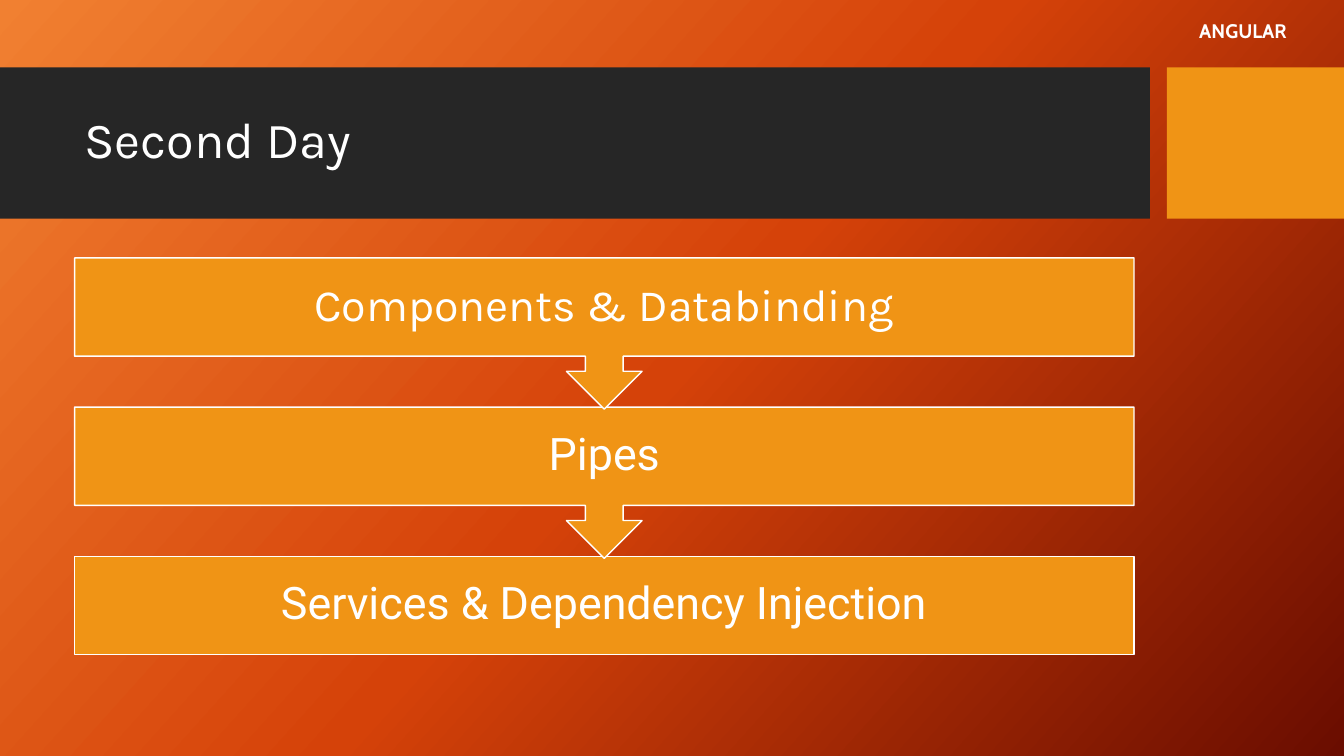
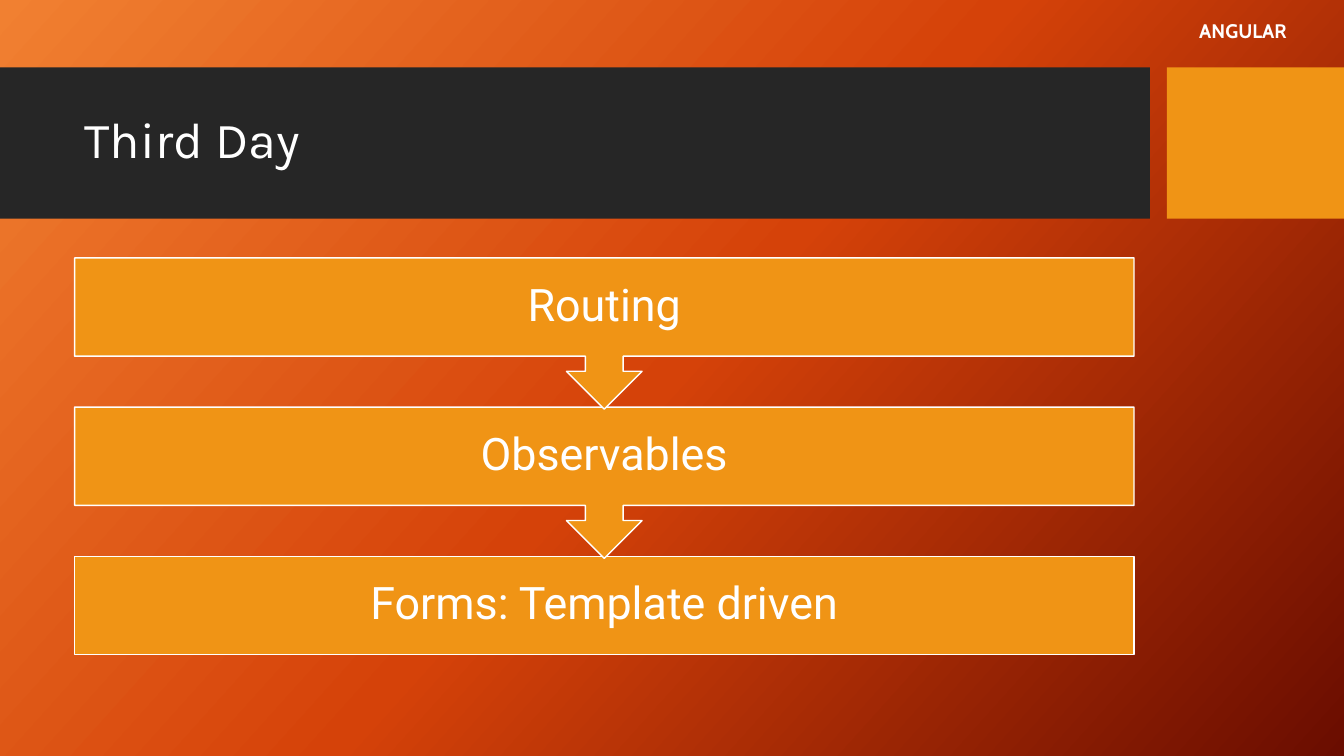
from copy import deepcopy

from pptx import Presentation
from pptx.dml.color import RGBColor
from pptx.enum.shapes import MSO_SHAPE
from pptx.enum.text import MSO_ANCHOR, PP_ALIGN
from pptx.oxml.ns import qn
from pptx.util import Cm, Pt

# Shared style
WHITE, DARK, AMBER = "FFFFFF", "262626", "F09415"
GRADIENT = [(0, "F18031"), (0.5, "D54209"), (1, "6A0D00")]
SLIDE_WIDTH, SLIDE_HEIGHT = 33.87, 19.05
MARGIN, CONTENT_WIDTH = 1.88, 26.7
BAND_TOP, BAND_HEIGHT = 1.7, 3.81
STEP_TOP, STEP_PITCH = 6.5, 3.76
STEP_HEIGHT, CALLOUT_HEIGHT = 2.47, 3.81


def color(value):
    return RGBColor.from_string(value)


def write(frame, text, font="Roboto", size=32, bold=False,
          align=PP_ALIGN.LEFT, anchor=MSO_ANCHOR.MIDDLE, line_spacing=0.9):
    frame.word_wrap = True
    frame.vertical_anchor = anchor
    para = frame.paragraphs[0]
    para.alignment = align
    para.line_spacing = line_spacing
    span = para.add_run()
    span.text = text
    span.font.name = font
    span.font.size = Pt(size)
    span.font.bold = bold
    span.font.color.rgb = color(WHITE)


class AgendaDeck:
    def __init__(self):
        self.deck = Presentation()
        self.deck.slide_width = Cm(SLIDE_WIDTH)
        self.deck.slide_height = Cm(SLIDE_HEIGHT)
        self.page = None

    def add_page(self, title, steps):
        self.page = self.deck.slides.add_slide(self.deck.slide_layouts[6])
        self.background()
        # Title band and accent block
        self.shape(MSO_SHAPE.RECTANGLE, 0, BAND_TOP, 28.98, BAND_HEIGHT, DARK)
        self.shape(MSO_SHAPE.RECTANGLE, 29.41, BAND_TOP, 4.46, BAND_HEIGHT, AMBER)
        self.text(title, MARGIN, 2.08, CONTENT_WIDTH, 3, font="Karla", size=36)
        self.steps(steps)
        # Course label
        self.text("ANGULAR", 29.97, 0.36, 3.4, 0.86, font="Cabin", size=14,
                  bold=True, anchor=MSO_ANCHOR.TOP, line_spacing=1)

    def background(self):
        fill = self.page.background.fill
        fill.gradient()
        fill.gradient_angle = 360 - 42
        # The default gradient has two stops; a third is needed
        stop_list = self.page.element.find(".//" + qn("a:gsLst"))
        stop_list.append(deepcopy(stop_list[-1]))
        for stop, (position, value) in zip(fill.gradient_stops, GRADIENT):
            stop.position = position
            stop.color.rgb = color(value)

    def shape(self, kind, left, top, width, height, fill, line=None):
        shape = self.page.shapes.add_shape(
            kind, Cm(left), Cm(top), Cm(width), Cm(height))
        shape.shadow.inherit = False
        shape.fill.solid()
        shape.fill.fore_color.rgb = color(fill)
        if line:
            shape.line.color.rgb = color(line)
            shape.line.width = Pt(1)
        else:
            shape.line.fill.background()
        return shape

    def text(self, text, left, top, width, height, **style):
        box = self.page.shapes.add_textbox(
            Cm(left), Cm(top), Cm(width), Cm(height))
        write(box.text_frame, text, **style)

    def steps(self, steps):
        # Drawn from the bottom up, so each arrow tip overlaps the next step
        last = len(steps) - 1
        for index in range(last, -1, -1):
            name, font = steps[index]
            if index == last:
                kind, height = MSO_SHAPE.RECTANGLE, STEP_HEIGHT
            else:
                kind, height = MSO_SHAPE.DOWN_ARROW_CALLOUT, CALLOUT_HEIGHT
            step = self.shape(kind, MARGIN, STEP_TOP + index * STEP_PITCH,
                              CONTENT_WIDTH, height, AMBER, line=WHITE)
            write(step.text_frame, name, font=font, align=PP_ALIGN.CENTER)

    def save(self):
        self.deck.save("out.pptx")


def main():
    agenda = AgendaDeck()
    agenda.add_page("Second Day", [
        ("Components & Databinding", "Karla"),
        ("Pipes", "Roboto"),
        ("Services & Dependency Injection", "Roboto"),
    ])
    agenda.add_page("Third Day", [
        ("Routing", "Roboto"),
        ("Observables", "Roboto"),
        ("Forms: Template driven", "Roboto"),
    ])
    agenda.save()


if __name__ == "__main__":
    main()
